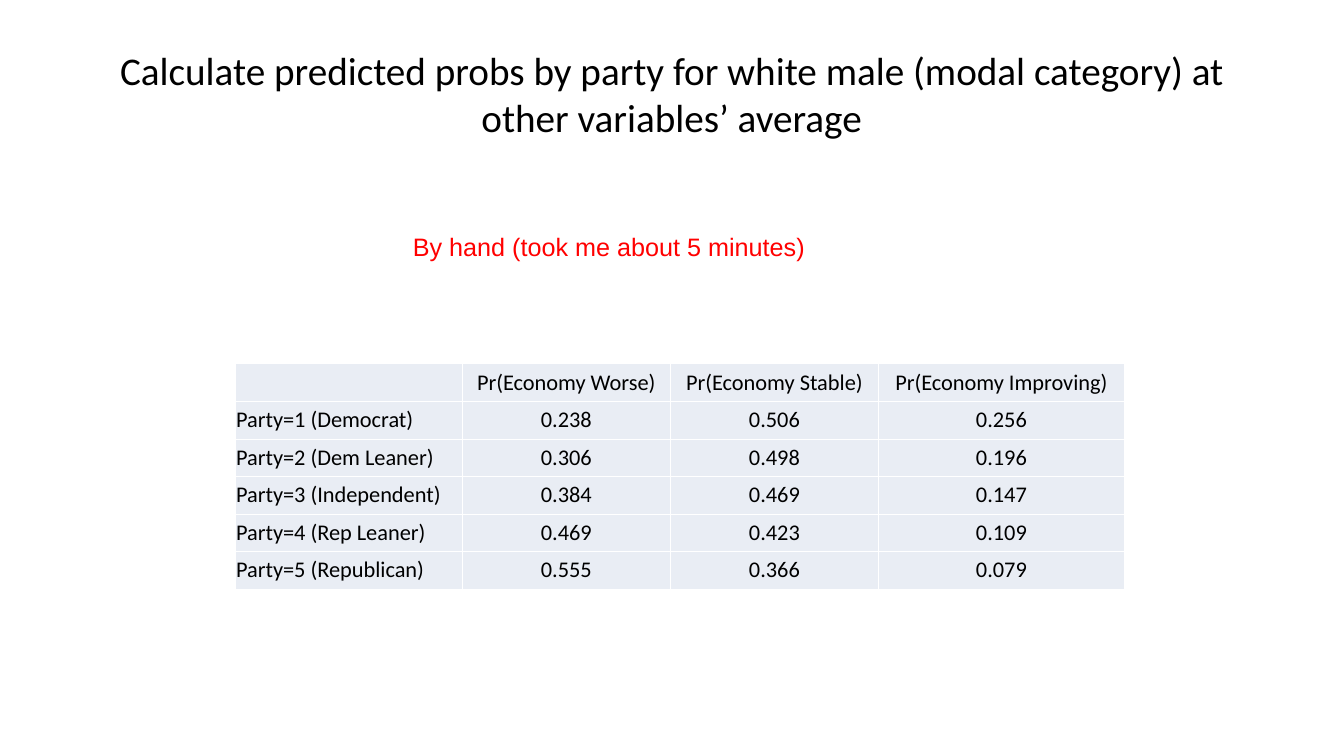
from lxml import etree
from pptx import Presentation
from pptx.dml.color import RGBColor
from pptx.enum.text import MSO_ANCHOR, MSO_AUTO_SIZE, PP_ALIGN
from pptx.oxml.ns import qn
from pptx.util import Pt

LEFT, CENTER = PP_ALIGN.LEFT, PP_ALIGN.CENTER
MIDDLE, BOTTOM = MSO_ANCHOR.MIDDLE, MSO_ANCHOR.BOTTOM
NO_FIT = MSO_AUTO_SIZE.NONE
BLACK = RGBColor(0x00, 0x00, 0x00)
RED = RGBColor(0xFF, 0x00, 0x00)
WHITE = RGBColor(0xFF, 0xFF, 0xFF)
PALE_BLUE = RGBColor(0xE9, 0xED, 0xF4)

TITLE_FORMAT = {"name": "Calibri", "size": Pt(28)}
NOTE_FORMAT = {"name": "Arial", "size": Pt(18)}
CELL_FORMAT = {"name": "Calibri", "size": Pt(16)}
CELL_LAYOUT = {
    "margin_left": Pt(0.7),
    "margin_right": Pt(0.7),
    "margin_top": Pt(3.6),
    "margin_bottom": Pt(3.6),
    "vertical_anchor": BOTTOM,
}
BORDER_WIDTH = Pt(0.45)
HEADER_HEIGHT = 27.5
COLUMN_WIDTHS = [162.25, 149, 148.5, 176]
PROBABILITIES = [
    ["", "Pr(Economy Worse)", "Pr(Economy Stable)", "Pr(Economy Improving)"],
    ["Party=1 (Democrat)", "0.238", "0.506", "0.256"],
    ["Party=2 (Dem Leaner)", "0.306", "0.498", "0.196"],
    ["Party=3 (Independent)", "0.384", "0.469", "0.147"],
    ["Party=4 (Rep Leaner)", "0.469", "0.423", "0.109"],
    ["Party=5 (Republican)", "0.555", "0.366", "0.079"],
]


def apply_values(target, values):
    for name, value in values.items():
        setattr(target, name, value)


def place(shape, box):
    names = ("left", "top", "width", "height")
    apply_values(shape, dict(zip(names, map(Pt, box))))


def write_text(frame, text, font_format, color, alignment):
    para = frame.paragraphs[0]
    para.alignment = alignment
    span = para.add_run()
    span.text = text
    apply_values(span.font, font_format)
    span.font.color.rgb = color


def add_title(page, box, text):
    title = page.shapes.title
    place(title, box)
    frame = title.text_frame
    apply_values(frame, {"word_wrap": True, "auto_size": NO_FIT, "vertical_anchor": MIDDLE})
    write_text(frame, text, TITLE_FORMAT, BLACK, CENTER)


def add_note(page, box, text):
    note = page.shapes.add_textbox(*map(Pt, box))
    note.text_frame.word_wrap = True
    write_text(note.text_frame, text, NOTE_FORMAT, RED, LEFT)


def add_borders(cell):
    properties = cell._tc.get_or_add_tcPr()
    for position, side in enumerate(("a:lnL", "a:lnR", "a:lnT", "a:lnB")):
        line = etree.Element(qn(side), w=str(BORDER_WIDTH))
        fill = etree.SubElement(line, qn("a:solidFill"))
        etree.SubElement(fill, qn("a:srgbClr"), val=str(WHITE))
        properties.insert(position, line)


def format_cell(cell, text, alignment):
    apply_values(cell, CELL_LAYOUT)
    cell.fill.solid()
    cell.fill.fore_color.rgb = PALE_BLUE
    add_borders(cell)
    if text:
        write_text(cell.text_frame, text, CELL_FORMAT, BLACK, alignment)
    else:
        apply_values(cell, {"margin_top": 0, "margin_bottom": 0})


def add_probability_table(page, box):
    frame = page.shapes.add_table(len(PROBABILITIES), len(COLUMN_WIDTHS), *map(Pt, box))
    table = frame.table
    body_height = (box[3] - HEADER_HEIGHT) / (len(PROBABILITIES) - 1)
    for column, width in zip(table.columns, COLUMN_WIDTHS):
        column.width = Pt(width)
    for row_index, (row, texts) in enumerate(zip(table.rows, PROBABILITIES)):
        row.height = Pt(body_height if row_index else HEADER_HEIGHT)
        for column_index, (cell, text) in enumerate(zip(row.cells, texts)):
            format_cell(cell, text, CENTER if column_index else LEFT)


def main():
    deck = Presentation()
    deck.slide_width, deck.slide_height = Pt(960.5), Pt(540)
    page = deck.slides.add_slide(deck.slide_layouts[5])
    add_title(
        page,
        (48, 21.6, 864, 90),
        "Calculate predicted probs by party for white male (modal category) at other variables’ average",
    )
    add_probability_table(page, (168, 259.2, sum(COLUMN_WIDTHS), 161))
    add_note(page, (288, 162, 504, 29), "By hand (took me about 5 minutes)")
    deck.save("out.pptx")


if __name__ == "__main__":
    main()
